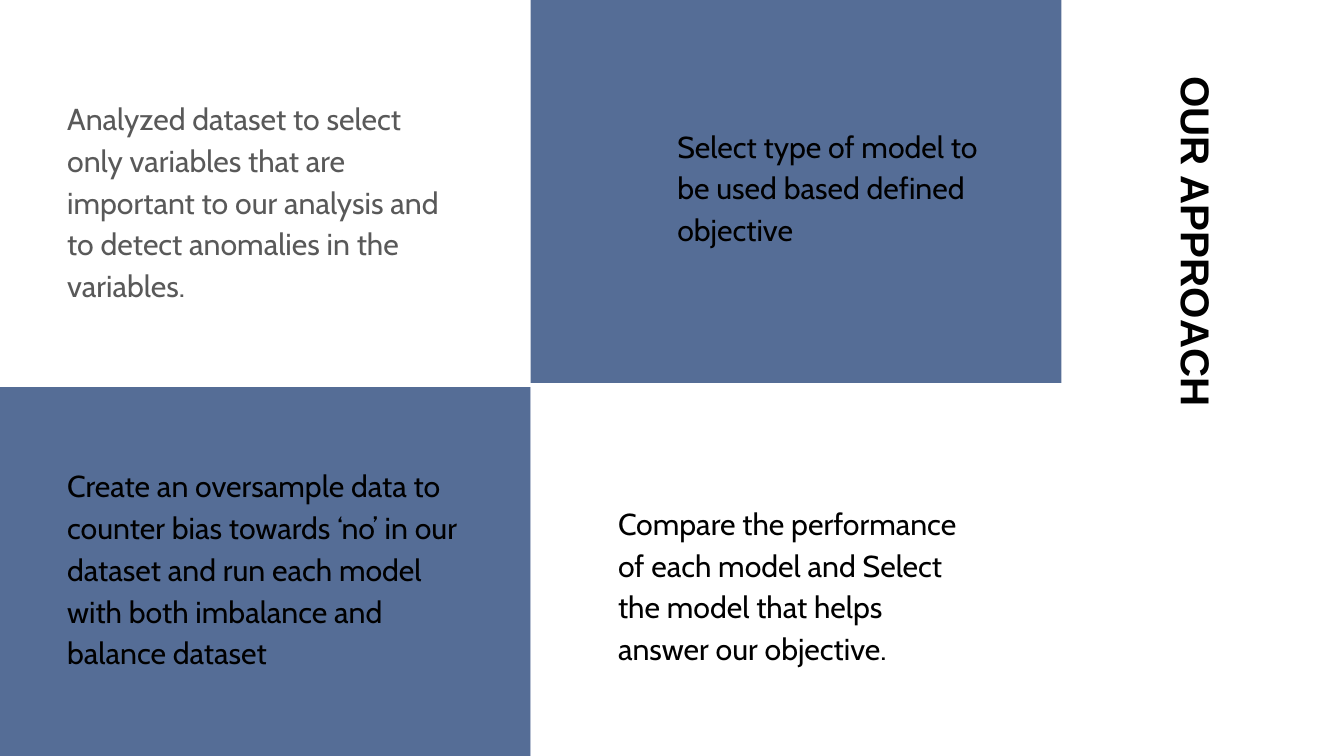
"""Build the four-panel slide that describes our approach."""
from dataclasses import dataclass

from lxml.etree import SubElement
from pptx import Presentation
from pptx.dml.color import RGBColor
from pptx.enum.shapes import MSO_SHAPE as Shape
from pptx.enum.text import MSO_ANCHOR as Anchor, MSO_AUTO_SIZE as AutoSize, PP_ALIGN as Align
from pptx.oxml.ns import qn
from pptx.util import Cm, Pt


@dataclass(frozen=True)
class Theme:
    blue: str = "556D96"
    white: str = "FFFFFF"
    black: str = "000000"
    grey: str = "595959"
    title_font: str = "Arial"
    body_font: str = "Cabin"
    title_size: float = 21.6
    body_size: float = 16.2


theme = Theme()


def write(shape, text, *, box, font, size, color, bold=False, anchor=Anchor.BOTTOM,
          indent=0, line_spacing=1.0, space_after=0):
    shape.left, shape.top, shape.width, shape.height = map(Cm, box)
    frame = shape.text_frame
    frame.text = text
    frame.word_wrap = True
    frame.auto_size = AutoSize.NONE
    frame.vertical_anchor = anchor
    frame.margin_left = frame.margin_right = frame.margin_top = frame.margin_bottom = Cm(0.25)
    paragraph = frame.paragraphs[0]
    properties = paragraph._p.get_or_add_pPr()
    properties.set("marL", str(Cm(indent)))
    properties.set("indent", "0")
    SubElement(properties, qn("a:buNone"))
    paragraph.alignment = Align.LEFT
    paragraph.line_spacing = line_spacing
    paragraph.space_before = Pt(0)
    paragraph.space_after = Pt(space_after)
    run_font = paragraph.runs[0].font
    run_font.name, run_font.size, run_font.bold = font, Pt(size), bold
    run_font.color.rgb = RGBColor.from_string(color)


presentation = Presentation()
presentation.slide_width, presentation.slide_height = Cm(25.4), Cm(14.29)
slide = presentation.slides.add_slide(presentation.slide_layouts.get_by_name("Comparison"))
title, *bodies = [shape for shape in slide.placeholders if shape.placeholder_format.idx < 5]

column, middle = 10.03, 7.32
panels = [
    (column, -0.08, middle, theme.blue),
    (0, middle, 6.98, theme.blue),
    (column, middle, 6.98, theme.white),
]
for left, top, height, color in panels:
    panel = slide.shapes.add_shape(Shape.RECTANGLE, Cm(left), Cm(top), Cm(column), Cm(height))
    panel.shadow.inherit = False
    panel.fill.solid()
    panel.fill.fore_color.rgb = RGBColor.from_string(color)
    panel.line.fill.background()
    title._element.addprevious(panel._element)

write(title, "OUR APPROACH", box=(18.57, 4.57, 8.1, 1.35), font=theme.title_font,
      size=theme.title_size, color=theme.black, bold=True, anchor=Anchor.MIDDLE)
title.rotation = 90

steps = [
    ("Analyzed dataset to select only variables that are important to our analysis "
     "and to detect anomalies in the variables.",
     (1.02, 1.75, 7.98, 4.24), theme.grey, 0),
    ("Select type of model to be used based defined objective",
     (11.28, 2.24, 7.49, 2.69), theme.black, 1.27),
    ("Create an oversample data to counter bias towards ‘no’ in our dataset "
     "and run each model with both imbalance and balance dataset",
     (1.02, 8.69, 7.98, 4.24), theme.black, 0),
    ("Compare the performance of each model and Select the model that helps "
     "answer our objective.",
     (11.43, 8.74, 7.19, 4.11), theme.black, 0),
]
for body, (text, box, color, indent) in zip(bodies, steps):
    write(body, text, box=box, font=theme.body_font, size=theme.body_size, color=color,
          indent=indent, line_spacing=1.15, space_after=12)

presentation.save("out.pptx")
